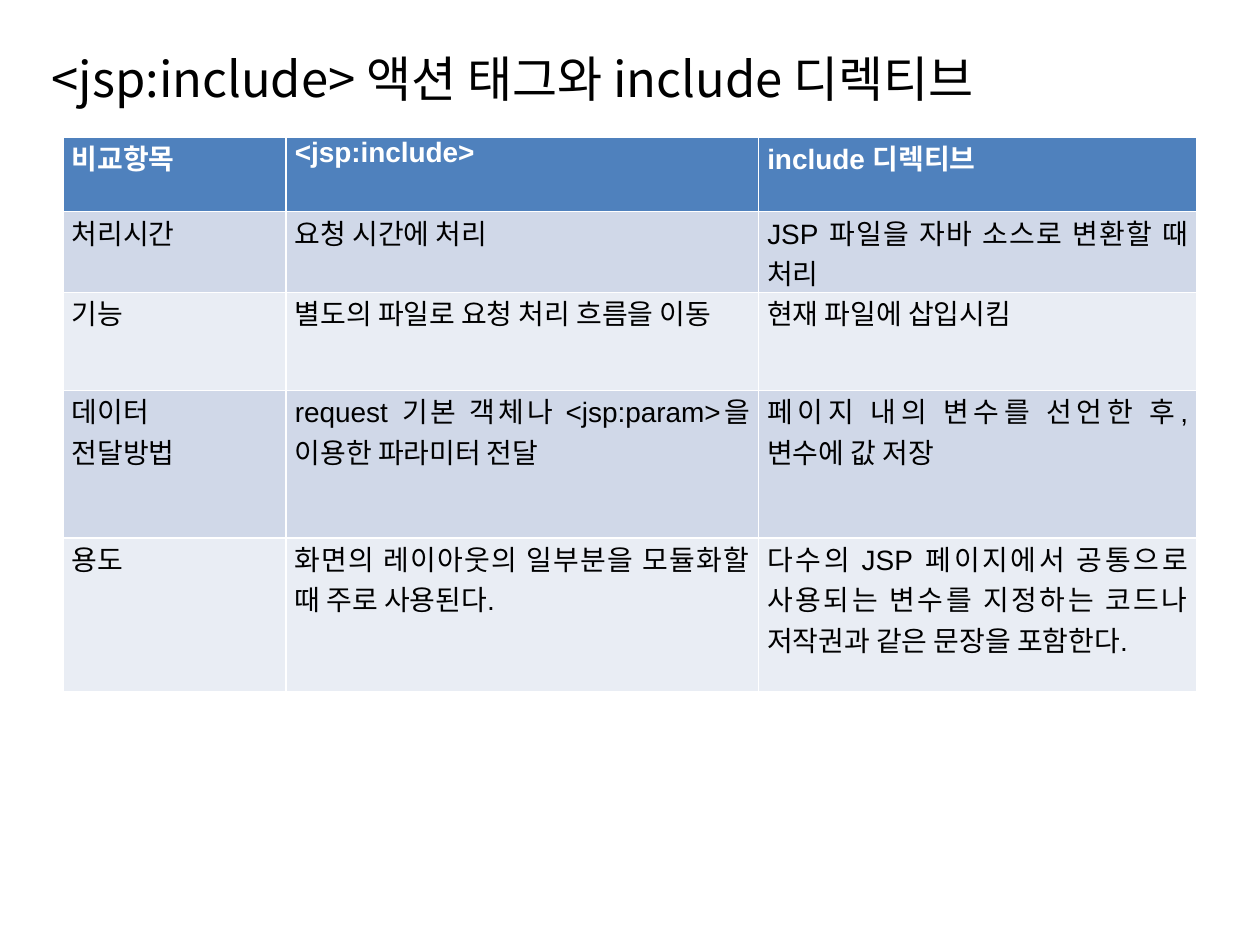
"""Build a slide comparing the jsp:include action tag with the include directive."""
from dataclasses import dataclass

from lxml.etree import SubElement
from pptx import Presentation
from pptx.dml.color import RGBColor
from pptx.enum.text import MSO_ANCHOR, PP_ALIGN
from pptx.oxml.ns import qn
from pptx.slide import Slide
from pptx.table import _Cell
from pptx.text.text import TextFrame
from pptx.util import Inches, Pt


@dataclass(frozen=True)
class Theme:
    """Colours, fonts and type sizes of the slide."""

    ink: str = "000000"
    header_ink: str = "FFFFFF"
    header_fill: str = "4F81BD"
    bands: tuple[str, str] = ("D0D8E8", "E9EDF4")
    latin: str = "Arial"
    korean: str = "Noto Sans CJK KR"
    title_size: int = 28
    cell_size: int = 16


@dataclass(frozen=True)
class ComparisonRow:
    """One table row: its height in inches and the text of its three cells."""

    height: float
    item: str
    action_tag: str
    directive: str


THEME = Theme()
COLUMN_WIDTHS = (1.77, 3.75, 3.48)
ROWS = (
    ComparisonRow(0.59, "비교항목", "<jsp:include>", "include 디렉티브"),
    ComparisonRow(0.61, "처리시간", "요청 시간에 처리", "JSP 파일을 자바 소스로 변환할 때 처리"),
    ComparisonRow(0.78, "기능", "별도의 파일로 요청 처리 흐름을 이동", "현재 파일에 삽입시킴"),
    ComparisonRow(
        1.17,
        "데이터\n전달방법",
        "request 기본 객체나 <jsp:param>을 이용한 파라미터 전달",
        "페이지 내의 변수를 선언한 후, 변수에 값 저장",
    ),
    ComparisonRow(
        1.22,
        "용도",
        "화면의 레이아웃의 일부분을 모듈화할 때 주로 사용된다.",
        "다수의 JSP 페이지에서 공통으로 사용되는 변수를 지정하는 코드나 "
        "저작권과 같은 문장을 포함한다.",
    ),
)


def write_text(
    frame: TextFrame,
    text: str,
    *,
    size: int,
    latin: str = THEME.latin,
    color: str = THEME.ink,
    bold: bool = False,
    align: PP_ALIGN = PP_ALIGN.JUSTIFY,
) -> None:
    """Fill a text frame, one paragraph per line, in a single format."""
    frame.text = text
    for para in frame.paragraphs:
        para.alignment = align
        for span in para.runs:
            span.font.size = Pt(size)
            span.font.bold = bold
            span.font.color.rgb = RGBColor.from_string(color)
            span.font.name = latin
            properties = span.font._element
            SubElement(properties, qn("a:ea"), typeface=THEME.korean)


def draw_title(page: Slide, text: str) -> None:
    """Place and format the title placeholder."""
    title = page.shapes.title
    title.left, title.top = Inches(0.31), Inches(0.3)
    title.width, title.height = Inches(9.45), Inches(0.64)
    write_text(
        title.text_frame,
        text,
        size=THEME.title_size,
        latin=THEME.korean,
        align=PP_ALIGN.LEFT,
    )
    title.text_frame.vertical_anchor = MSO_ANCHOR.MIDDLE


def draw_cell(cell: _Cell, text: str, row_number: int) -> None:
    """Format one cell as header or as part of a colour band."""
    header = row_number == 0
    fill = THEME.header_fill if header else THEME.bands[(row_number - 1) % 2]
    cell.fill.solid()
    cell.fill.fore_color.rgb = RGBColor.from_string(fill)
    cell.margin_left = cell.margin_right = Inches(0.07)
    cell.margin_top = cell.margin_bottom = Inches(0)
    write_text(
        cell.text_frame,
        text,
        size=THEME.cell_size,
        color=THEME.header_ink if header else THEME.ink,
        bold=header,
    )


def draw_comparison(page: Slide, rows: tuple[ComparisonRow, ...]) -> None:
    """Draw the comparison table."""
    table = page.shapes.add_table(
        len(rows),
        len(COLUMN_WIDTHS),
        Inches(0.5),
        Inches(1.09),
        Inches(sum(COLUMN_WIDTHS)),
        Inches(sum(row.height for row in rows)),
    ).table
    for column, width in zip(table.columns, COLUMN_WIDTHS):
        column.width = Inches(width)
    for row_number, row in enumerate(rows):
        table.rows[row_number].height = Inches(row.height)
        texts = (row.item, row.action_tag, row.directive)
        for column_number, text in enumerate(texts):
            draw_cell(table.cell(row_number, column_number), text, row_number)


def main() -> None:
    """Build and save the deck."""
    deck = Presentation()
    deck.slide_width, deck.slide_height = Inches(10), Inches(7.5)
    page = deck.slides.add_slide(deck.slide_layouts[5])
    draw_title(page, "<jsp:include> 액션 태그와 include 디렉티브")
    draw_comparison(page, ROWS)
    deck.save("out.pptx")


if __name__ == "__main__":
    main()
